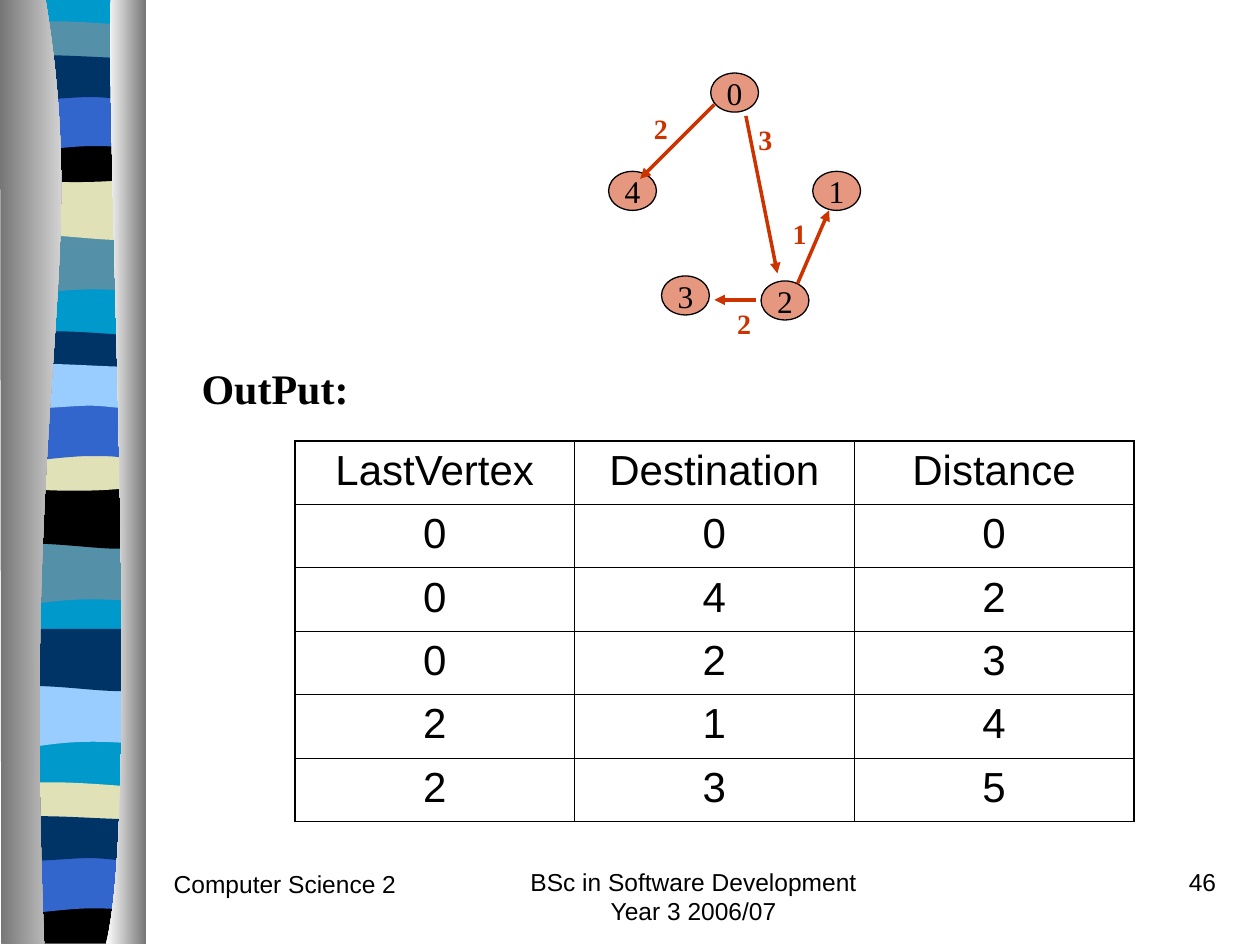
from dataclasses import dataclass
from itertools import chain, product

from lxml.etree import SubElement
from pptx import Presentation
from pptx.dml.color import RGBColor
from pptx.enum.shapes import MSO_CONNECTOR as Link, MSO_SHAPE as Form
from pptx.enum.text import MSO_ANCHOR as Anchor, MSO_AUTO_SIZE as Fit, PP_ALIGN as Align
from pptx.oxml import parse_xml
from pptx.oxml.ns import nsdecls, qn
from pptx.util import Cm, Pt

SKY = RGBColor(0x00, 0x99, 0xCC)
TEAL = RGBColor(0x54, 0x90, 0xA8)
CREAM = RGBColor(0xE1, 0xE1, 0xB7)
BLACK = RGBColor(0x00, 0x00, 0x00)
BLUE = RGBColor(0x33, 0x66, 0xCC)
NAVY = RGBColor(0x00, 0x33, 0x66)
PALE = RGBColor(0x99, 0xCC, 0xFF)
RUST = RGBColor(0xCC, 0x33, 0x00)
GREY = RGBColor(0x76, 0x76, 0x76)
WHITE = RGBColor(0xFF, 0xFF, 0xFF)
SANS, SERIF = "Arial", "Times New Roman"

FORMS = {
    "block": [[(1.08, 0)], [(1.08, 7.48)], [(0, 7.48)], [(0, 0)]],
    "dip": [[(1.08, 0)], [(1.08, .47)], [(.33, .39), (.18, .55), (0, .47)], [(0, 0)]],
    "wave": [[(1.08, 0)], [(1.08, .47)], [(.9, .55), (.33, .41), (0, .47)], [(0, 0)]],
    "lens": [[(1.08, .05)], [(1.08, .29)], [(.9, .33), (.18, .33), (0, .29)], [(0, .05)],
             [(.07, 0), (.23, .01), (.41, .01)], [(.59, .01), (.94, .04), (1.08, .05)]],
    "cup": [[(1.08, 0)], [(1.08, .32)], [(.9, .38), (.18, .38), (0, .32)], [(0, 0)],
            [(.66, .05), (.85, 0), (1.08, 0)]],
    "arch": [[(1.08, 0)], [(1.08, .47)], [(.91, .42), (.84, .42), (.66, .42)],
             [(.48, .42), (.16, .47), (0, .47)], [(0, 0)]],
    "ridge": [[(1.08, .05)], [(1.08, .36)], [(1.01, .41), (.84, .36), (.66, .36)],
              [(.48, .36), (.11, .41), (0, .36)], [(0, .05)],
              [(.15, 0), (.73, .05), (.91, .05)], [(1.09, .05), (1.04, .05), (1.08, .05)]],
    "floor": [[(1.08, 0)], [(1.08, .37)], [(0, .37)], [(0, 0)],
              [(.66, .05), (.85, 0), (1.08, 0)]],
    "left": [[(.36, 0)], [(.72, 2.17), (.17, 2.97), (.35, 7.5)], [(.01, 7.5)], [(0, 0)]],
    "right": [[(.04, 0)], [(0, 1.26), (.28, 6.47), (0, 7.5)], [(.32, 7.5)], [(.32, 0)]],
}


@dataclass
class Band:
    form: str
    x: float
    y: float
    tints: tuple


@dataclass
class Node:
    text: str
    x: float
    y: float


@dataclass
class Edge:
    start: tuple
    end: tuple
    cost: Node


@dataclass
class Note:
    x: float
    y: float
    wide: float
    align: Align
    text: str


BANDS = [
    Band("block", .06, -.01, (SKY,)), Band("dip", .06, 1.85, (TEAL,)),
    Band("wave", .06, 1.41, (CREAM,)), Band("lens", .06, .16, (TEAL,)),
    Band("cup", .06, 1.08, (BLACK,)), Band("arch", .06, .74, (BLUE,)),
    Band("ridge", .06, .41, (NAVY,)), Band("dip", .05, 4.31, (TEAL,)),
    Band("wave", .05, 3.86, (BLACK,)), Band("lens", .05, 2.62, (NAVY,)),
    Band("cup", .05, 3.53, (CREAM,)), Band("arch", .05, 3.2, (BLUE,)),
    Band("ridge", .05, 2.86, (PALE,)), Band("dip", .06, 5.44, (PALE,)),
    Band("wave", .06, 4.99, (NAVY,)), Band("lens", .05, 6.2, (CREAM,)),
    Band("floor", .05, 7.12, (BLACK,)), Band("arch", .05, 6.79, (BLUE,)),
    Band("ridge", .05, 6.45, (NAVY,)),
    Band("left", 0, -.01, (GREY, WHITE)), Band("right", .84, -.01, (WHITE, GREY)),
]
NODES = [Node("2", 6.04, 2.23), Node("0", 5.64, .58), Node("3", 5.25, 2.19),
         Node("1", 6.45, 1.36), Node("4", 4.83, 1.36)]
EDGES = [
    Edge((5.67, .83), (5.08, 1.42), Node("2", 5.09, .83)),
    Edge((5.92, .92), (6.17, 2.17), Node("3", 5.92, .92)),
    Edge((6, 2.38), (5.67, 2.38), Node("2", 5.75, 2.38)),
    Edge((6.33, 2.25), (6.58, 1.67), Node("1", 6.19, 1.67)),
]
NOTES = [
    Note(1.28, 6.85, 2.08, Align.LEFT, "Computer Science 2"),
    Note(3.92, 6.83, 3.17, Align.CENTER, "BSc in Software Development Year 3 2006/07"),
    Note(7.67, 6.83, 2.08, Align.RIGHT, "46"),
]
ROWS = [("LastVertex", "Destination", "Distance"), (0, 0, 0), (0, 4, 2),
        (0, 2, 3), (2, 1, 4), (2, 3, 5)]


def size(*inches: float) -> list:
    return [Cm(2.54 * v) for v in inches]


def write(frame, text: str, font: str, points: int, tint=BLACK,
          align=Align.CENTER, bold=False) -> None:
    para = frame.paragraphs[0]
    para.alignment = align
    run = para.add_run()
    run.text = text
    run.font.name, run.font.size, run.font.bold = font, Pt(points), bold
    run.font.color.rgb = tint


def bend(shape, form: list) -> None:
    lines = iter(list(shape._element.iter(qn("a:lnTo"))))
    for step in form[1:]:
        parts = [next(lines) for _ in step]
        if len(parts) == 1:
            continue
        curve = parts[0].makeelement(qn("a:cubicBezTo"))
        parts[0].addprevious(curve)
        for part in parts:
            curve.append(part[0])
            part.getparent().remove(part)


def draw_band(shapes, band: Band) -> None:
    form = FORMS[band.form]
    dots = [size(band.x + x, band.y + y) for x, y in chain.from_iterable(form)]
    pen = shapes.build_freeform(*dots[0])
    pen.add_line_segments(dots[1:], close=True)
    shape = pen.convert_to_shape()
    bend(shape, form)
    shape.shadow.inherit = False
    shape.line.fill.background()
    if len(band.tints) == 1:
        shape.fill.solid()
        shape.fill.fore_color.rgb = band.tints[0]
        return
    shape.fill.gradient()
    shape.fill.gradient_angle = 0
    for stop, tint in zip(shape.fill.gradient_stops, band.tints):
        stop.color.rgb = tint


def draw_node(shapes, node: Node) -> None:
    shape = shapes.add_shape(Form.OVAL, *size(node.x, node.y, .38, .31))
    shape.shadow.inherit = False
    shape.fill.solid()
    shape.fill.fore_color.rgb = RUST
    tint = shape.fill._xPr.find(".//" + qn("a:srgbClr"))
    SubElement(tint, qn("a:alpha"), val="50000")
    shape.line.color.rgb, shape.line.width = BLACK, Pt(.75)
    shape.text_frame.word_wrap = False
    shape.text_frame.vertical_anchor = Anchor.MIDDLE
    write(shape.text_frame, node.text, SERIF, 18)


def draw_edge(shapes, edge: Edge) -> None:
    line = shapes.add_connector(Link.STRAIGHT, *size(*edge.start, *edge.end))
    line.line.color.rgb, line.line.width = RUST, Pt(2)
    SubElement(line.line._get_or_add_ln(), qn("a:tailEnd"), type="triangle")
    SubElement(line._element.spPr, qn("a:effectLst"))
    frame = shapes.add_textbox(*size(edge.cost.x, edge.cost.y, .31, .37)).text_frame
    frame.word_wrap = False
    frame.vertical_anchor = Anchor.MIDDLE
    write(frame, edge.cost.text, SERIF, 16, RUST, bold=True)


def draw_note(shapes, note: Note) -> None:
    frame = shapes.add_textbox(*size(note.x, note.y, note.wide, .5)).text_frame
    frame.word_wrap = True
    write(frame, note.text, SANS, 14, align=note.align)


def draw_grid(shapes) -> None:
    high, wide = len(ROWS), len(ROWS[0])
    grid = shapes.add_table(high, wide, *size(2.34, 3.5, 6.66, 3.02)).table
    grid.first_row = grid.horz_banding = False
    for r, c in product(range(high), range(wide)):
        cell = grid.cell(r, c)
        cell.fill.background()
        write(cell.text_frame, str(ROWS[r][c]), SANS, 24)
        rims = {"L": c == 0, "R": c == wide - 1, "T": r == 0, "B": r == high - 1}
        for i, (side, outer) in enumerate(rims.items()):
            width = Pt(1.08 if outer else .45)
            cell._tc.get_or_add_tcPr().insert(i, parse_xml(
                f'<a:ln{side} {nsdecls("a")} w="{width}"><a:solidFill>'
                f'<a:srgbClr val="{BLACK}"/></a:solidFill></a:ln{side}>'))


def main() -> None:
    deck = Presentation()
    deck.slide_width, deck.slide_height = size(10, 7.5)
    slide = deck.slides.add_slide(deck.slide_layouts[5])
    shapes = slide.shapes
    title = shapes.title
    title.left, title.top, title.width, title.height = size(1.5, 2.83, 8.33, 1.11)
    title.text_frame.auto_size = Fit.NONE
    title.text_frame.vertical_anchor = Anchor.TOP
    write(title.text_frame, "OutPut:", SERIF, 24, align=Align.LEFT, bold=True)
    side = shapes.add_group_shape().shapes
    for band in BANDS:
        draw_band(side, band)
    for note in NOTES:
        draw_note(shapes, note)
    graph = shapes.add_group_shape().shapes
    for node in NODES:
        draw_node(graph, node)
    for edge in EDGES:
        draw_edge(graph, edge)
    draw_grid(shapes)
    deck.save("out.pptx")


if __name__ == "__main__":
    main()
